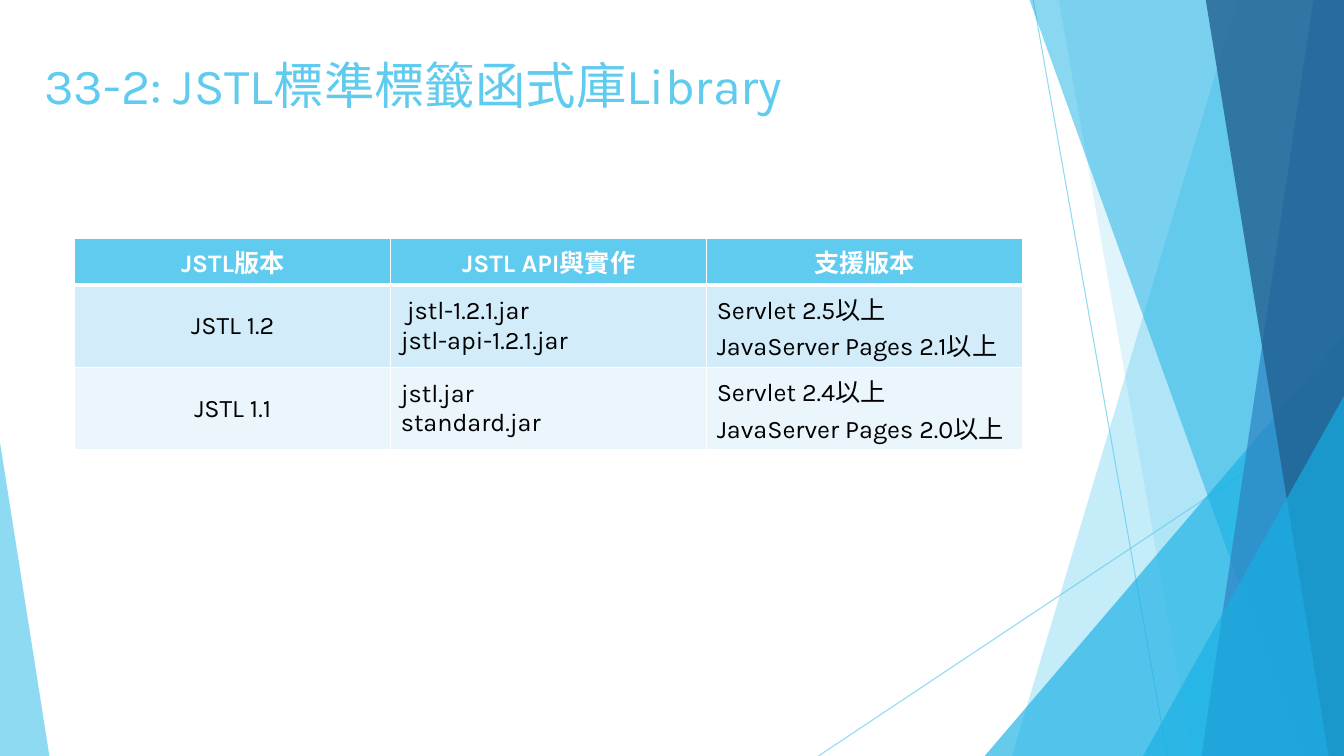
"""Build the slide on JSTL library versions."""
import pptx
import pptx.dml.color
import pptx.enum.shapes
import pptx.enum.text
import pptx.oxml
import pptx.oxml.ns
import pptx.util

Pt = pptx.util.Pt
RGBColor = pptx.dml.color.RGBColor
SHAPE = pptx.enum.shapes.MSO_SHAPE
ANCHOR = pptx.enum.text.MSO_ANCHOR
ALIGN = pptx.enum.text.PP_ALIGN
qn = pptx.oxml.ns.qn

SKY = RGBColor(0x5F, 0xCB, 0xEF)
CYAN = RGBColor(0x17, 0xB0, 0xE4)
BLUE = RGBColor(0x2E, 0x83, 0xC3)
NAVY = RGBColor(0x22, 0x62, 0x92)
BAND_DARK = RGBColor(0xD2, 0xEC, 0xF9)
BAND_LIGHT = RGBColor(0xEA, 0xF6, 0xFC)
WHITE = RGBColor(0xFF, 0xFF, 0xFF)
BLACK = RGBColor(0, 0, 0)
FONT = "Karla"
WIDTH, HEIGHT, BLEED = 960, 540, -1

TITLE = "33-2: JSTL標準標籤函式庫Library"
ROWS = [
    ["JSTL版本", "JSTL API與實作", "支援版本"],
    ["JSTL 1.2", " jstl-1.2.1.jar\njstl-api-1.2.1.jar", "Servlet 2.5以上\nJavaServer Pages 2.1以上"],
    ["JSTL 1.1", "jstl.jar\nstandard.jar", "Servlet 2.4以上\nJavaServer Pages 2.0以上"],
]
ROW_FILLS = [SKY, BAND_DARK, BAND_LIGHT]
ROW_HEIGHTS = [33.3, 59, 59]
TABLE_LEFT, TABLE_TOP, COL_WIDTH = 53.4, 170.2, 225.7

RAYS = [(738, 0, 833.8, HEIGHT), (WIDTH, 290.2, 584.6, HEIGHT)]
FACETS = [
    ("band", (884.2, 722.9), SKY, 36),
    ("band", (756, 851.8), SKY, 20),
    ("triangle", (703.4, 239.8, WIDTH, 1), CYAN, 66),
    ("band", (735.1, 929.5), CYAN, 50),
    ("band", (938.2, 858.2), BLUE, 70),
    ("band", (861.1, 949), NAVY, 80),
    ("triangle", (816.5, 283, WIDTH, 1), CYAN, 66),
    ("triangle", (0, 316.1, 35.3, 0), SKY, 70),
]


def write(tf, text, size=18, color=BLACK, bold=False, align=ALIGN.LEFT):
    for i, line in enumerate(text.split("\n")):
        p = tf.paragraphs[0] if i == 0 else tf.add_paragraph()
        p.alignment = align
        r = p.add_run()
        r.text = line
        r.font.name, r.font.size, r.font.bold = FONT, Pt(size), bold
        r.font.color.rgb = color
        r._r.get_or_add_rPr().set("lang", "zh-TW")


def paint(fill, color, opacity, parent):
    fill.solid()
    fill.fore_color.rgb = color
    clr = next(parent.iter(qn("a:srgbClr")))
    clr.append(pptx.oxml.parse_xml(
        f'<a:alpha {pptx.oxml.ns.nsdecls("a")} val="{opacity * 1000}"/>'))


def add_ray(shapes, x1, y1, x2, y2):
    s = shapes.add_connector(pptx.enum.shapes.MSO_CONNECTOR.STRAIGHT, Pt(x1), Pt(y1), Pt(x2), Pt(y2))
    s.line.width = Pt(0.75)
    paint(s.line.fill, SKY, 70, s._element.spPr)
    s._element.spPr.append(pptx.oxml.parse_xml(f'<a:effectLst {pptx.oxml.ns.nsdecls("a")}/>'))


def add_facet(shapes, kind, geometry, color, opacity):
    if kind == "band":
        top_x, bottom_x = geometry
        fb = shapes.build_freeform(Pt(top_x), Pt(BLEED))
        corners = [(WIDTH, BLEED), (WIDTH, HEIGHT), (bottom_x, HEIGHT)]
        fb.add_line_segments([(Pt(x), Pt(y)) for x, y in corners], close=True)
        s = fb.convert_to_shape()
    else:
        left, top, right, apex = geometry
        s = shapes.add_shape(SHAPE.ISOSCELES_TRIANGLE, Pt(left), Pt(top), Pt(right - left), Pt(HEIGHT - top))
        s.adjustments[0] = apex
    paint(s.fill, color, opacity, s._element.spPr)
    s.line.fill.background()
    s.shadow.inherit = False


def add_borders(cell, top, bottom):
    tcPr = cell._tc.get_or_add_tcPr()
    for side, width in (("L", 1), ("R", 1), ("T", top), ("B", bottom)):
        tcPr.append(pptx.oxml.parse_xml(
            f'<a:ln{side} {pptx.oxml.ns.nsdecls("a")} w="{int(Pt(width))}"><a:solidFill>'
            f'<a:srgbClr val="{WHITE}"/></a:solidFill></a:ln{side}>'))


def add_versions(shapes):
    cols = len(ROWS[0])
    table = shapes.add_table(len(ROWS), cols, Pt(TABLE_LEFT), Pt(TABLE_TOP),
                             Pt(COL_WIDTH * cols), Pt(sum(ROW_HEIGHTS))).table
    for col in table.columns:
        col.width = Pt(COL_WIDTH)
    for i, row in enumerate(ROWS):
        table.rows[i].height = Pt(ROW_HEIGHTS[i])
        header = i == 0
        for j, text in enumerate(row):
            cell = table.cell(i, j)
            cell.vertical_anchor = ANCHOR.MIDDLE
            add_borders(cell, top=3 if i == 1 else 1, bottom=3 if header else 1)
            cell.fill.solid()
            cell.fill.fore_color.rgb = ROW_FILLS[i]
            write(cell.text_frame, text, color=WHITE if header else BLACK, bold=header,
                  align=ALIGN.CENTER if header or j == 0 else ALIGN.LEFT)


def main():
    prs = pptx.Presentation()
    prs.slide_width, prs.slide_height = Pt(WIDTH), Pt(HEIGHT)
    shapes = prs.slides.add_slide(prs.slide_layouts[6]).shapes
    for ray in RAYS:
        add_ray(shapes, *ray)
    for facet in FACETS:
        add_facet(shapes, *facet)
    tf = shapes.add_textbox(Pt(24.5), Pt(35.3), Pt(733), Pt(103.7)).text_frame
    tf.word_wrap = True
    tf.vertical_anchor = ANCHOR.TOP
    write(tf, TITLE, size=36, color=SKY)
    add_versions(shapes)
    prs.save("out.pptx")


if __name__ == "__main__":
    main()
